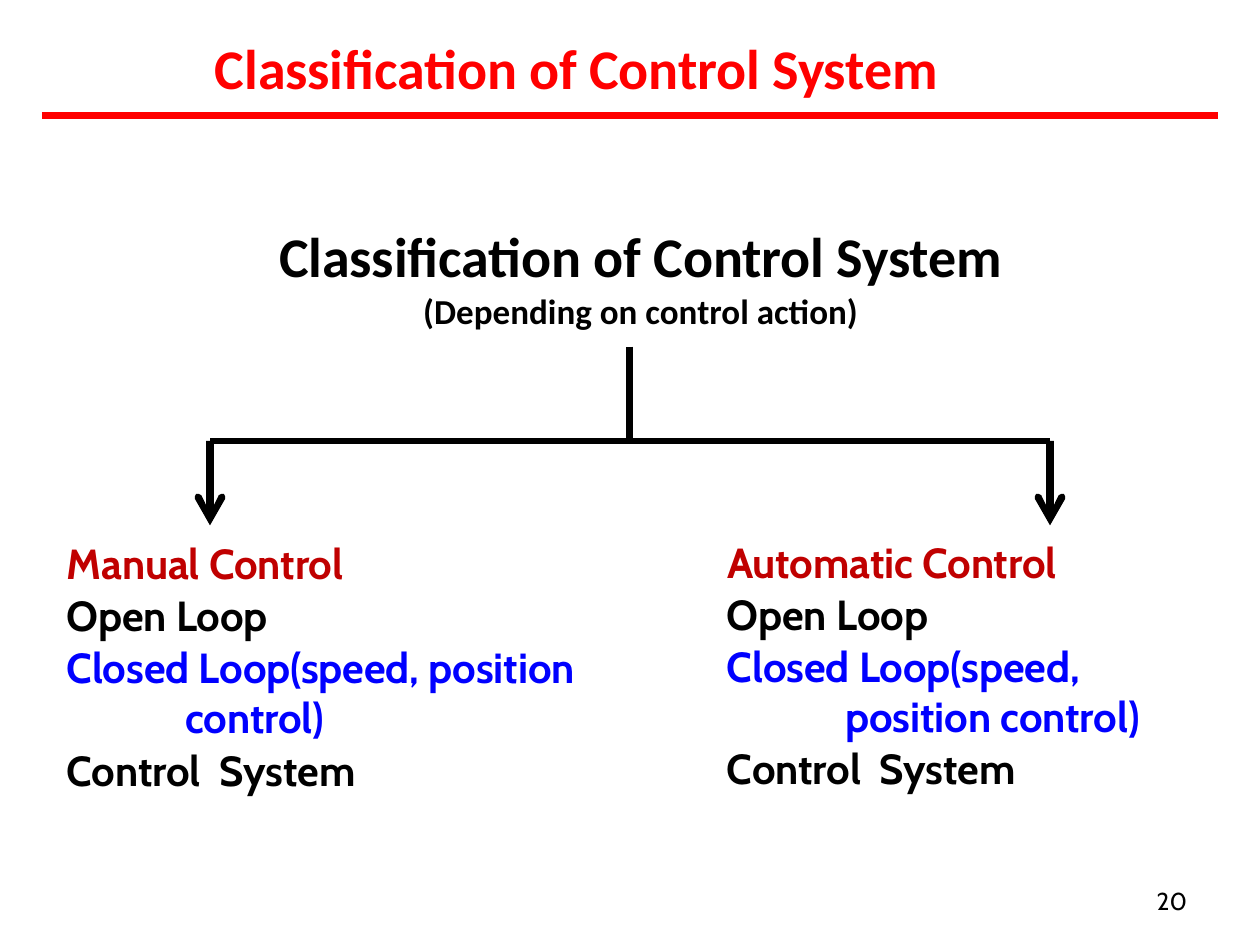
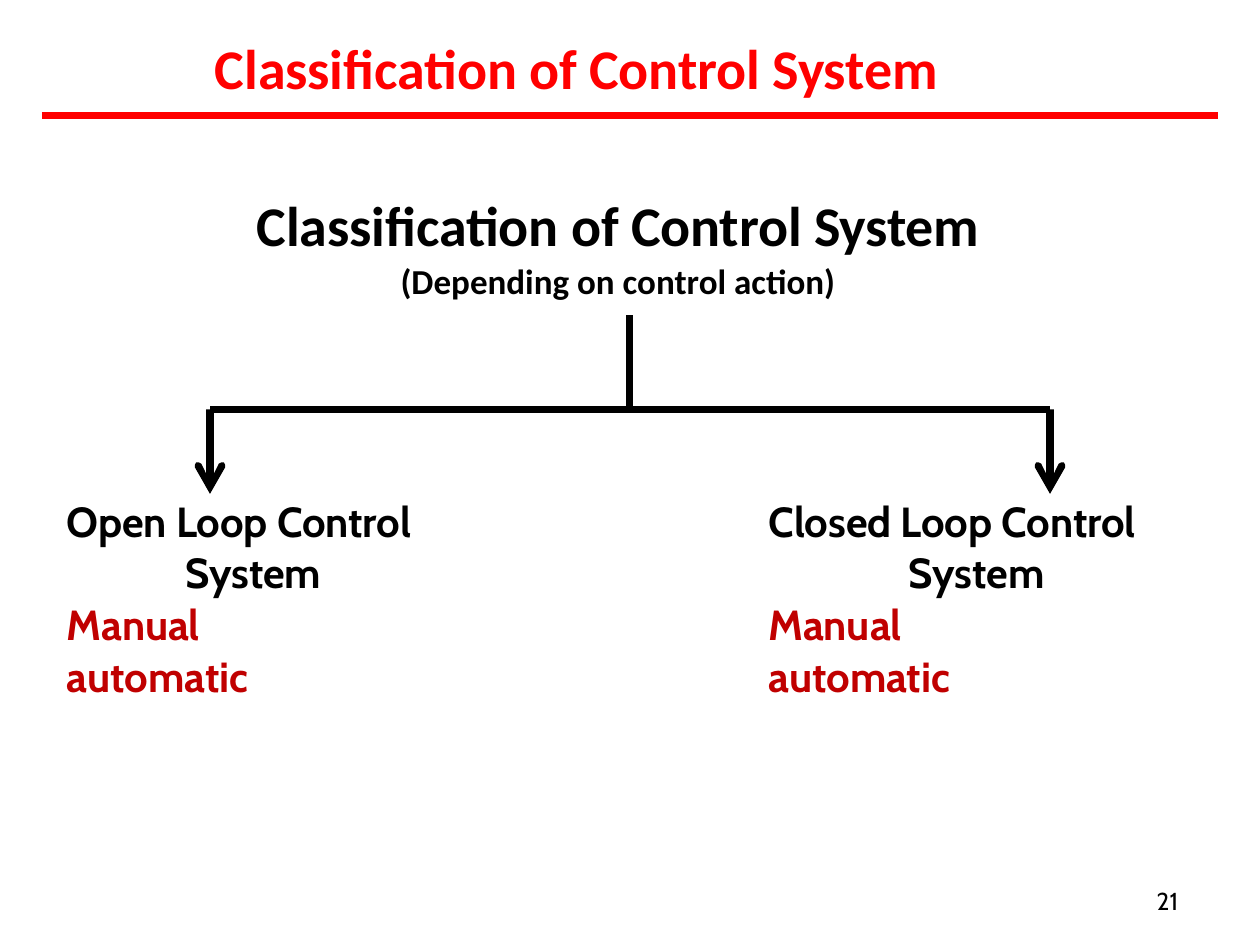
from dataclasses import dataclass

from lxml import etree
from pptx import Presentation
from pptx.dml.color import RGBColor
from pptx.enum.shapes import MSO_CONNECTOR
from pptx.enum.text import MSO_ANCHOR, MSO_AUTO_SIZE, PP_ALIGN
from pptx.oxml.ns import qn
from pptx.util import Emu, Inches, Pt

STRAIGHT = MSO_CONNECTOR.STRAIGHT
TOP = MSO_ANCHOR.TOP
NO_AUTOFIT = MSO_AUTO_SIZE.NONE
CENTER, LEFT = PP_ALIGN.CENTER, PP_ALIGN.LEFT

# Page grid: 12 columns by 30 rows
WIDTH, HEIGHT = Inches(10), Inches(7.5)
COLUMNS, ROWS = 12, 30
TWO_CONTENT = 3


@dataclass(frozen=True)
class Theme:
    red: str = "FF0000"
    dark_red: str = "C00000"
    blue: str = "0000FF"
    black: str = "000000"
    heading_font: str = "Calibri"
    body_font: str = "Cabin"
    title_size: float = 32
    basis_size: float = 20
    body_size: float = 24
    number_size: float = 14
    line_width: float = 3.96
    title_tracking: int = -10  # hundredths of a point
    body_tracking: int = -5
    hang: float = 0.94


THEME = Theme()


@dataclass(frozen=True)
class Box:
    """Left and width as shares of the slide, top and height in rows."""
    left: float
    top: float
    width: float
    height: float


@dataclass(frozen=True)
class Style:
    size: float
    color: str
    font: str = THEME.heading_font
    bold: bool = True
    align: PP_ALIGN = CENTER
    before: float = 1.1
    margin: float = 0
    hang: float = 0
    tracking: int = 0


@dataclass(frozen=True)
class Branch:
    box: Box
    lines: list[tuple[str, str]]  # wording and colour
    first_hang: float = THEME.hang


@dataclass(frozen=True)
class Classification:
    number: int
    heading: Box
    stem_row: float
    branches: tuple[Branch, Branch]


TITLE = "Classification of Control System"
BASIS = "(Depending on control action)"
TITLE_BOX = Box(0.167, 1, 0.581, 2.24)
NUMBER_BOX = Box(0.914, 28.08, 0.03, 1.04)

# Right half of an arrow, in inches from the middle of its upper end
ARROW_HALF = [(0.03, 0), (0.03, 0.51), (0.07, 0.43), (0.09, 0.42),
              (0.11, 0.42), (0.12, 0.44), (0.12, 0.46)]
ARROW_TIP = (0, 0.67)

CONTROL_LINES = [
    ("Open Loop", THEME.black),
    ("Closed Loop(speed, position control)", THEME.blue),
    ("Control  System", THEME.black),
]
ACTION_LINES = [("Manual", THEME.dark_red), ("automatic", THEME.dark_red)]

SLIDES = [
    Classification(20, Box(0.218, 6.96, 0.581, 3.64), 11, (
        Branch(Box(0.051, 17, 0.415, 8.32),
               [("Manual Control", THEME.dark_red)] + CONTROL_LINES),
        Branch(Box(0.575, 16.96, 0.388, 9.96),
               [("Automatic Control", THEME.dark_red)] + CONTROL_LINES, 1.11),
    )),
    Classification(21, Box(0.2, 6, 0.581, 3.64), 10, (
        Branch(Box(0.051, 15.68, 0.39, 6.64),
               [("Open Loop Control  System", THEME.black)] + ACTION_LINES),
        Branch(Box(0.608, 15.68, 0.338, 8.32),
               [("Closed Loop Control  System", THEME.black)] + ACTION_LINES, 1.11),
    )),
]


def column(count: float) -> Emu:
    return Emu(round(WIDTH * count / COLUMNS))


def row(count: float) -> Emu:
    return Emu(round(HEIGHT * count / ROWS))


def rgb(color: str) -> RGBColor:
    return RGBColor.from_string(color)


def place(shape, box: Box) -> None:
    shape.left, shape.width = column(box.left * COLUMNS), column(box.width * COLUMNS)
    shape.top, shape.height = row(box.top), row(box.height)


def write(shape, box: Box, lines: list[tuple[str, Style]]) -> None:
    """Place a text shape and fill it, one styled paragraph a line."""
    place(shape, box)
    frame = shape.text_frame
    frame.text = "\n".join(wording for wording, _ in lines)
    frame.word_wrap, frame.auto_size = True, NO_AUTOFIT
    frame.vertical_anchor = TOP
    frame.margin_left = frame.margin_right = frame.margin_bottom = 0
    frame.margin_top = Pt(1)
    for paragraph, (_, style) in zip(frame.paragraphs, lines):
        paragraph.alignment = style.align
        paragraph.space_before = Pt(style.before)
        properties = paragraph._p.get_or_add_pPr()
        properties.set("marL", str(Inches(style.margin + style.hang)))
        properties.set("indent", str(-Inches(style.hang)))
        etree.SubElement(properties, qn("a:buNone"))
        for run in paragraph.runs:
            run.font.name, run.font.size = style.font, Pt(style.size)
            run.font.bold = style.bold
            run.font.color.rgb = rgb(style.color)
            run._r.get_or_add_rPr().set("spc", str(style.tracking))


def add_text(slide, box: Box, lines: list[tuple[str, Style]]) -> None:
    write(slide.shapes.add_textbox(0, 0, 0, 0), box, lines)


def title_style(color: str) -> Style:
    return Style(THEME.title_size, color, tracking=THEME.title_tracking)


def add_frame(slide, number: int) -> None:
    """Title, red rule and page number shared by the slides."""
    write(slide.shapes.title, TITLE_BOX, [(TITLE, title_style(THEME.red))])
    rule = slide.shapes.add_connector(
        STRAIGHT, column(0.4), row(3.68), column(11.6), row(3.68))
    rule.line.color.rgb = rgb(THEME.red)
    rule.line.width = Pt(THEME.line_width)
    etree.SubElement(rule._element.spPr, qn("a:effectLst"))
    number_style = Style(THEME.number_size, THEME.black, THEME.body_font,
                         bold=False, align=LEFT, margin=0.04)
    add_text(slide, NUMBER_BOX, [(str(number), number_style)])


def add_outline(slide, contours: list[list[tuple[int, int]]], closed: bool):
    """Draw several contours as one freeform without shadow."""
    builder = slide.shapes.build_freeform(*contours[0][0])
    for index, (start, *others) in enumerate(contours):
        if index:
            builder.move_to(*start)
        builder.add_line_segments(others, close=closed)
    outline = builder.convert_to_shape()
    outline.shadow.inherit = False
    return outline


def add_tree(slide, stem_row: float) -> None:
    """Stem with crossbar, and the two arrows down to the branches."""
    left, middle, right = column(2), column(6), column(10)
    stem_top, bar = row(stem_row), row(stem_row + 3)
    fork = add_outline(slide, [
        [(middle, stem_top), (middle, bar)],
        [(middle, bar), (left, bar)],
        [(right, bar), (middle, bar)],
    ], closed=False)
    fork.fill.background()
    fork.line.color.rgb = rgb(THEME.black)
    fork.line.width = Pt(THEME.line_width)

    mirrored = [(-x, y) for x, y in reversed(ARROW_HALF)]
    profile = [*ARROW_HALF, ARROW_TIP, *mirrored]
    arrows = add_outline(slide, [
        [(center + Inches(x), bar + Inches(y)) for x, y in profile]
        for center in (left, right)
    ], closed=True)
    arrows.fill.solid()
    arrows.fill.fore_color.rgb = rgb(THEME.black)
    arrows.line.fill.background()


def add_branch(body, branch: Branch) -> None:
    lines = []
    for index, (wording, color) in enumerate(branch.lines):
        hang = THEME.hang if index else branch.first_hang
        lines.append((wording, Style(
            THEME.body_size, color, THEME.body_font, align=LEFT, before=1,
            margin=0.02, hang=hang, tracking=THEME.body_tracking)))
    write(body, branch.box, lines)


def main() -> None:
    deck = Presentation()
    deck.slide_width, deck.slide_height = WIDTH, HEIGHT
    for content in SLIDES:
        slide = deck.slides.add_slide(deck.slide_layouts[TWO_CONTENT])
        add_frame(slide, content.number)
        add_text(slide, content.heading, [
            (TITLE, title_style(THEME.black)),
            (BASIS, Style(THEME.basis_size, THEME.black, before=0.8)),
        ])
        add_tree(slide, content.stem_row)
        for position, branch in enumerate(content.branches, start=1):
            add_branch(slide.placeholders[position], branch)
    deck.save("out.pptx")


if __name__ == "__main__":
    main()
